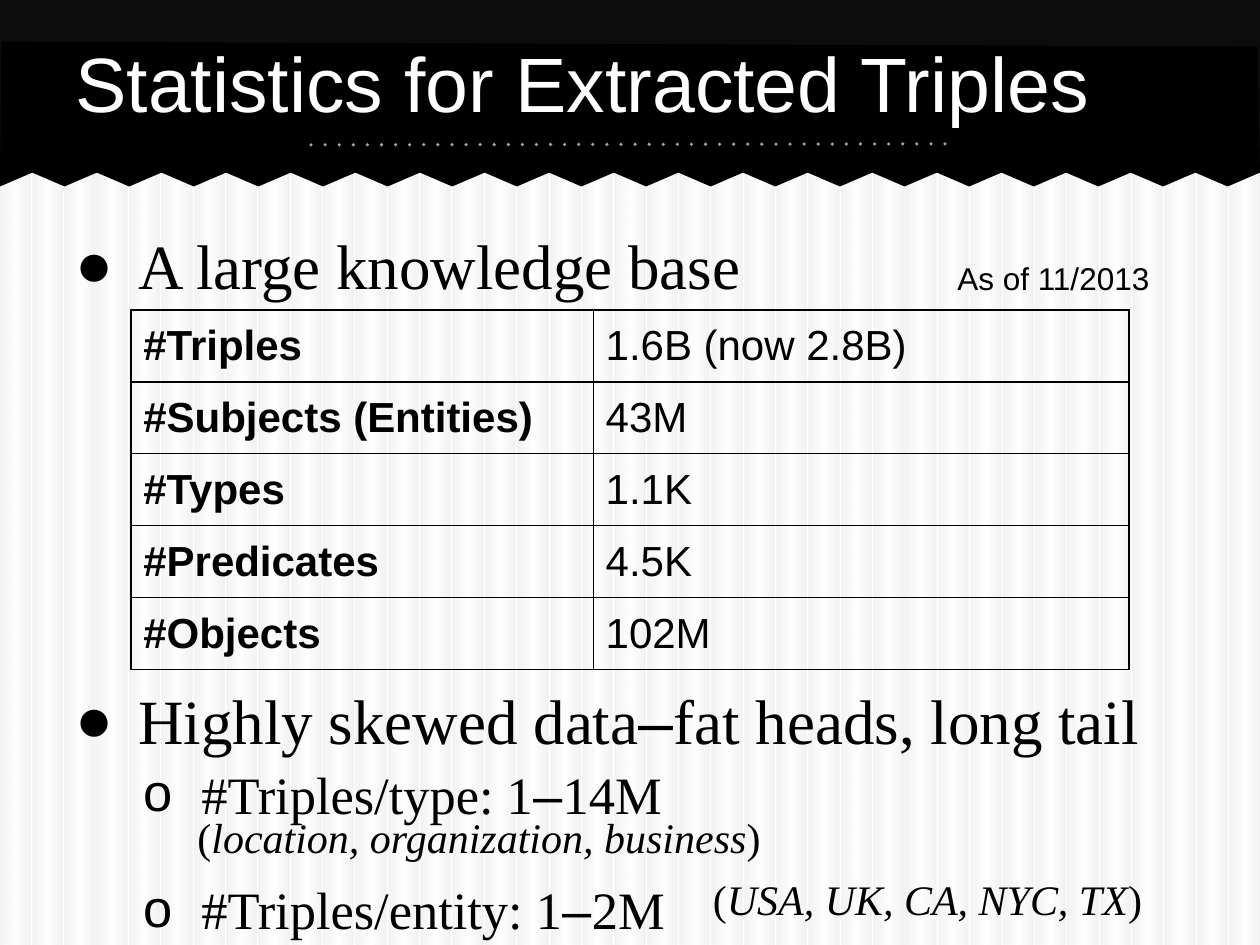
from dataclasses import dataclass, field

from lxml import etree
from pptx import Presentation
from pptx.dml.color import RGBColor
from pptx.enum import shapes as sh, text as tx
from pptx.oxml import parse_xml
from pptx.oxml.ns import nsdecls
from pptx.util import Cm, Pt


@dataclass(frozen=True)
class Theme:
    ink: str = "000000"
    paper: str = "FFFFFF"
    band: str = "0C0C0C"
    dots: str = "94AE8E"
    stripe: str = "BFBFBF"
    sans: str = "Arial"
    serif: str = "Times New Roman"
    title: int = 44
    head: int = 36
    sub: int = 30
    cell: int = 24
    date: int = 18


@dataclass(frozen=True)
class Box:
    left: float
    top: float
    width: float
    height: float

    def cm(self) -> tuple:
        return tuple(Cm(v) for v in (self.left, self.top, self.width, self.height))


@dataclass(frozen=True)
class Run:
    text: str
    font: dict = field(default_factory=dict)


@dataclass(frozen=True)
class Point:
    runs: list
    size: int
    mark: str
    left: float
    hang: float
    gap: float


T = Theme()
WIDE, HIGH = 25.4, 19.05
DASH = Run("–", {"name": T.sans})
ROWS = [
    ("#Triples", "1.6B (now 2.8B)"),
    ("#Subjects (Entities)", "43M"),
    ("#Types", "1.1K"),
    ("#Predicates", "4.5K"),
    ("#Objects", "102M"),
]
COLS = [9.32, 1.07, 3.33, 3.23, 3.17]
ROW = 1.45
POINTS = [
    Point([Run("A large knowledge base")], T.head, "●", 1.27, 1.27, 0),
    Point([Run("Highly skewed data"), DASH, Run("fat heads, long tail")],
          T.head, "●", 1.27, 1.27, 217),
    Point([Run("#Triples/type: 1"), DASH, Run("14M")], T.sub, "o", 2.54, 1.17, 2.5),
    Point([Run("#Triples/entity: 1"), DASH, Run("2M")], T.sub, "o", 2.54, 1.17, 30),
]


def rgb(code: str) -> RGBColor:
    return RGBColor.from_string(code)


def write(para, runs: list, size: int, name: str, color: str = T.ink) -> None:
    for item in runs:
        run = para.add_run()
        run.text = item.text
        style = {"size": Pt(size), "name": name, "bold": False, "italic": False}
        for key, val in (style | item.font).items():
            setattr(run.font, key, val)
        run.font.color.rgb = rgb(color)


def setup(frame, anchor=tx.MSO_ANCHOR.TOP) -> None:
    form = {"word_wrap": True, "auto_size": tx.MSO_AUTO_SIZE.NONE,
            "vertical_anchor": anchor}
    form |= {f"margin_{side}": Cm(0.25) for side in ("left", "right", "top", "bottom")}
    for key, val in form.items():
        setattr(frame, key, val)


def label(slide, box: Box, runs: list, size: int, name: str) -> None:
    frame = slide.shapes.add_textbox(*box.cm()).text_frame
    setup(frame)
    write(frame.paragraphs[0], runs, size, name)


def plain(shape, color: str) -> None:
    shape.shadow.inherit = False
    shape.fill.solid()
    shape.fill.fore_color.rgb = rgb(color)
    shape.line.fill.background()


def stripes(slide, count: int = 39, width: float = 0.61) -> None:
    """Cover the page with equal, faint vertical gradient bars."""
    stops = "".join(
        f'<a:gs pos="{pos * 1000}"><a:srgbClr val="{code}"><a:alpha val="19000"/>'
        "</a:srgbClr></a:gs>"
        for pos, code in ((0, T.stripe), (50, T.paper), (97, T.stripe), (100, T.stripe)))
    step = (WIDE - width) / (count - 1)
    for i in range(count):
        box = Box(i * step, 0.02, width, HIGH - 0.02)
        bar = slide.shapes.add_shape(sh.MSO_SHAPE.RECTANGLE, *box.cm())
        plain(bar, T.paper)
        props = bar._element.spPr
        props.replace(props.find("{*}solidFill"), parse_xml(
            f'<a:gradFill {nsdecls("a")}><a:gsLst>{stops}</a:gsLst>'
            '<a:lin ang="0" scaled="0"/></a:gradFill>'))


def header(slide, teeth: int = 39) -> None:
    """Draw the dark band with its torn lower edge and dotted rule."""
    band = slide.shapes.add_shape(sh.MSO_SHAPE.RECTANGLE, *Box(0, 0, WIDE, 3.48).cm())
    plain(band, T.band)
    edge = [(WIDE * (1 - i / teeth), 3.76 if i % 2 else 3.48) for i in range(teeth + 1)]
    pen = slide.shapes.build_freeform(Cm(0.03), Cm(0.84))
    pen.add_line_segments([(Cm(x), Cm(y)) for x, y in [(25.35, 0.94), *edge]])
    plain(pen.convert_to_shape(), T.ink)

    rule = slide.shapes.add_connector(
        sh.MSO_CONNECTOR.STRAIGHT, Cm(6.27), Cm(2.92), Cm(19.05), Cm(2.9))
    rule.line.color.rgb = rgb(T.dots)
    rule.line.width = Pt(2)
    line = rule.line._get_or_add_ln()
    line.set("cap", "rnd")
    line.append(parse_xml(f'<a:prstDash {nsdecls("a")} val="dot"/>'))
    rule._element.spPr.append(parse_xml(f'<a:effectLst {nsdecls("a")}/>'))


def heading(slide, words: str) -> None:
    title = slide.shapes.title
    box = Box(1.27, 0.05, 22.86, 3.18)
    for key, val in zip(("left", "top", "width", "height"), box.cm()):
        setattr(title, key, val)
    setup(title.text_frame, tx.MSO_ANCHOR.MIDDLE)
    para = title.text_frame.paragraphs[0]
    para.alignment = tx.PP_ALIGN.LEFT
    write(para, [Run(words)], T.title, T.sans, T.paper)
    slide.shapes._spTree.append(title._element)  # in front of the band


def bullets(slide, box: Box) -> None:
    frame = slide.shapes.add_textbox(*box.cm()).text_frame
    setup(frame)
    for i, point in enumerate(POINTS):
        para = frame.add_paragraph() if i else frame.paragraphs[0]
        props = para._p.get_or_add_pPr()
        props.set("marL", str(Cm(point.left)))
        props.set("indent", str(-Cm(point.hang)))
        for tag, key, val in (("buFont", "typeface", T.sans), ("buChar", "char", point.mark)):
            props.append(parse_xml(f'<a:{tag} {nsdecls("a")} {key}="{val}"/>'))
        if i:
            para.space_before = Pt(point.gap)
        write(para, point.runs, point.size, T.serif)


def outline(cell) -> None:
    props = cell._tc.get_or_add_tcPr()
    for side in "LRTB":
        props.append(parse_xml(
            f'<a:ln{side} {nsdecls("a")} w="{Pt(0.75)}"><a:solidFill>'
            f'<a:srgbClr val="{T.ink}"/></a:solidFill></a:ln{side}>'))
    cell.fill.background()


def counts(slide) -> None:
    box = Box(2.64, 6.25, sum(COLS), ROW * len(ROWS))
    table = slide.shapes.add_table(len(ROWS), len(COLS), *box.cm()).table
    table.first_row = table.horz_banding = False
    for col, width in zip(table.columns, COLS):
        col.width = Cm(width)
    for r, pair in enumerate(ROWS):
        table.rows[r].height = Cm(ROW)
        for c in range(len(COLS)):
            outline(table.cell(r, c))
        table.cell(r, 1).merge(table.cell(r, len(COLS) - 1))
        for c, words in enumerate(pair):
            cell = table.cell(r, c)
            for side in ("left", "right", "top", "bottom"):
                setattr(cell, f"margin_{side}", Cm(0.25))
            write(cell.text_frame.paragraphs[0], [Run(words, {"bold": c == 0})],
                  T.cell, T.sans)


def aside(slide, box: Box, words: str) -> None:
    """Write italic words between upright brackets."""
    label(slide, box, [Run("("), Run(words, {"italic": True}), Run(")")], T.cell, T.serif)


def main() -> None:
    deck = Presentation()
    deck.slide_width, deck.slide_height = Cm(WIDE), Cm(HIGH)
    slide = deck.slides.add_slide(deck.slide_layouts[5])
    stripes(slide)
    header(slide)
    bullets(slide, Box(1.27, 4.32, 22.86, 14.5))
    heading(slide, "Statistics for Extracted Triples")
    counts(slide)
    label(slide, Box(19.05, 4.98, 5.72, 1.27), [Run("As of 11/2013")], T.date, T.sans)
    aside(slide, Box(3.73, 16.1, 12.32, 1.27), "location, organization, business")
    aside(slide, Box(14.12, 17.35, 9.7, 1.27), "USA, UK, CA, NYC, TX")
    deck.save("out.pptx")


if __name__ == "__main__":
    main()
